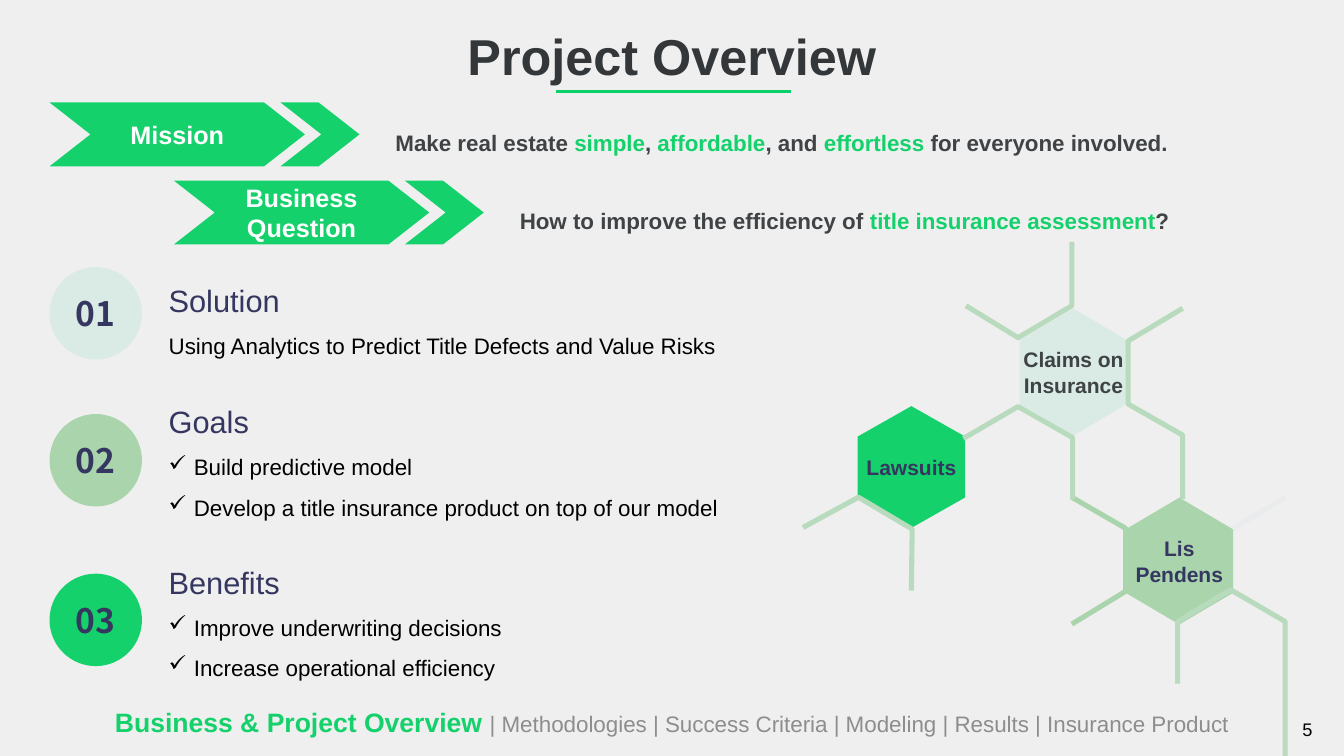
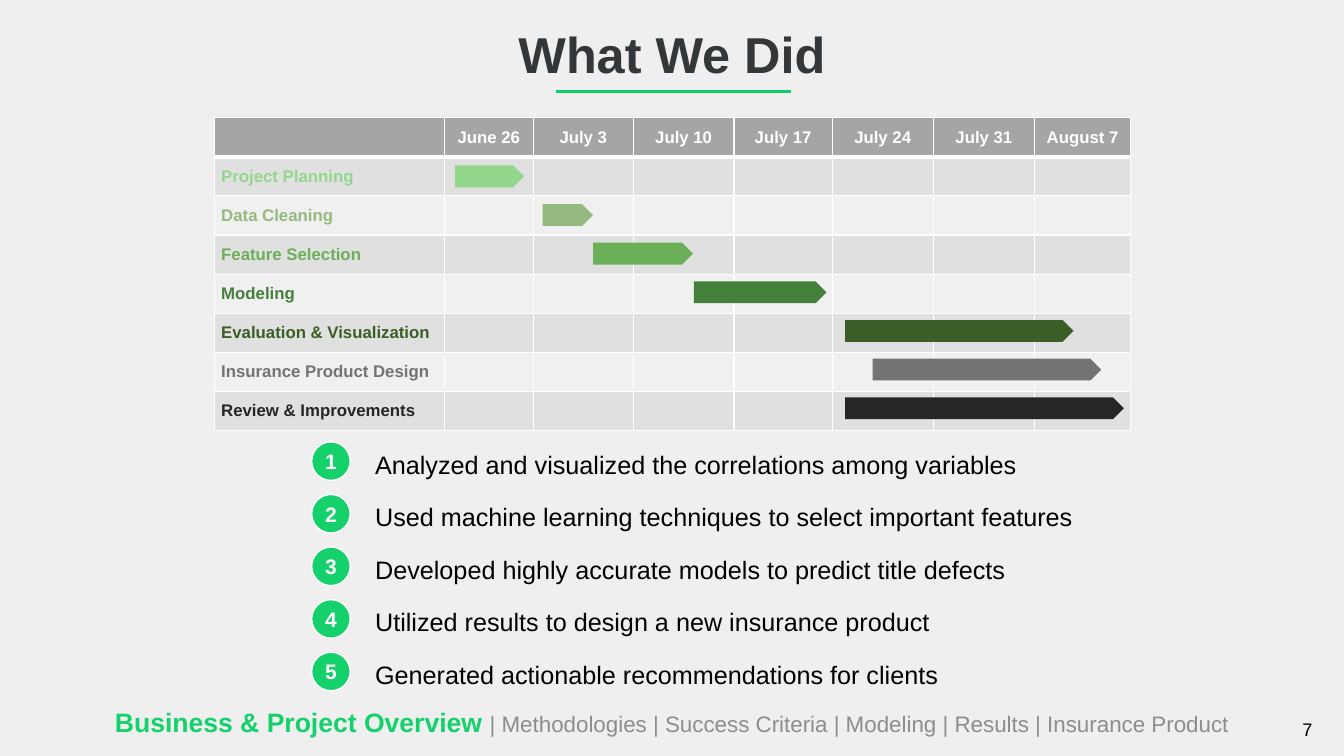
from lxml import etree
from pptx import Presentation
from pptx import util as u
from pptx.dml.color import RGBColor
from pptx.enum import shapes, text
from pptx.oxml import ns

# The slide is a grid of 160 columns by 90 rows of square cells.
CELL = 76200
COLS, ROWS = 160, 90

BACKDROP = RGBColor(0xEF, 0xEF, 0xEF)
WHITE = RGBColor(0xFF, 0xFF, 0xFF)
BLACK = RGBColor(0, 0, 0)
GREEN = RGBColor(0x15, 0xD1, 0x6C)
RULE_GREEN = RGBColor(0x0B, 0xD0, 0x69)
SAGE = RGBColor(0xA9, 0xD4, 0xAC)
MINT = RGBColor(0xD9, 0xEB, 0xE4)
BRANCH = RGBColor(0xB9, 0xDB, 0xBD)
PALE = RGBColor(0xEA, 0xEB, 0xEC)
TITLE_GREY = RGBColor(0x33, 0x37, 0x39)
TEXT_GREY = RGBColor(0x3F, 0x43, 0x45)
FOOTER_GREY = RGBColor(0x8D, 0x8D, 0x8D)
NAVY = RGBColor(0x35, 0x37, 0x60)
HEADER_GREY = RGBColor(0xA5, 0xA5, 0xA5)
STRIPES = RGBColor(0xE0, 0xE0, 0xE0), RGBColor(0xF0, 0xF0, 0xF0)

FONT = "Arial"
NUMBER_FONT = "Noto Sans CJK SC"
CENTER, RIGHT = text.PP_ALIGN.CENTER, text.PP_ALIGN.RIGHT
TOP, MIDDLE = text.MSO_ANCHOR.TOP, text.MSO_ANCHOR.MIDDLE

SECTIONS = [
    # number, fill, disc row, text row, heading, lines, ticked
    ("01", MINT, 31.8, 30.8, "Solution",
     ["Using Analytics to Predict Title Defects and Value Risks"], False),
    ("02", SAGE, 49.3, 45.2, "Goals",
     ["Build predictive model",
      "Develop a title insurance product on top of our model"], True),
    ("03", GREEN, 68.3, 64.3, "Benefits",
     ["Improve underwriting decisions", "Increase operational efficiency"], True),
]
HEXAGONS = [
    # centre column, centre row, height, fill, label, label colour
    (127.8, 44.3, 15.1, MINT, "Claims on Insurance", TEXT_GREY),
    (140.4, 66.8, 15.1, SAGE, "Lis Pendens", NAVY),
    (108.5, 55.6, 14.5, GREEN, "Lawsuits", NAVY),
]
BRANCHES = [
    (BRANCH, [(115, 36.4), (121.2, 40.2), (127.6, 36.4), (127.6, 28.8)]),
    (BRANCH, [(140.8, 36.7), (134.3, 40.6), (134.3, 48.1), (140.8, 51.8), (140.8, 59.4)]),
    (SAGE, [(127.6, 59.2), (134, 62.9), (134, 70.4), (127.6, 74.3)]),
    (BRANCH, [(140.2, 81.4), (140.2, 74), (146.5, 70.2), (153, 74), (153, ROWS)]),
    (BRANCH, [(127.7, 59.4), (127.7, 52.1), (121.2, 48.4), (114.7, 52.2)]),
    (BRANCH, [(108.5, 70.3), (108.6, 63), (102.2, 59.2), (95.6, 62.8)]),
]
WEEKS = ["June 26", "July 3", "July 10", "July 17", "July 24", "July 31", "August 7"]
TABLE_COLS = [27.4, 10.6, 11.9, 12, 11.7, 12, 12.1, 11.4]
TASKS = [
    # name, colour, first column and length of the bar
    ("Project Planning", RGBColor(0x92, 0xD7, 0x8B), 54.2, 8.2),
    ("Data Cleaning", RGBColor(0x95, 0xBA, 0x7F), 64.6, 6),
    ("Feature Selection", RGBColor(0x6B, 0xAF, 0x58), 70.6, 11.9),
    ("Modeling", RGBColor(0x45, 0x7F, 0x3C), 82.6, 15.8),
    ("Evaluation & Visualization", RGBColor(0x3B, 0x5E, 0x26), 100.6, 27.2),
    ("Insurance Product Design", RGBColor(0x73, 0x73, 0x73), 103.9, 27.2),
    ("Review & Improvements", RGBColor(0x26, 0x26, 0x26), 100.6, 33.2),
]
STEPS = [
    "Analyzed and visualized the correlations among variables",
    "Used machine learning techniques to select important features",
    "Developed highly accurate models to predict title defects",
    "Utilized results to design a new insurance product",
    "Generated actionable recommendations for clients",
]


def grid(*cells):
    return [u.Emu(round(c * CELL)) for c in cells]


def add_run(p, words, size, color, bold=False, font=FONT):
    r = p.add_run()
    r.text = words
    r.font.name, r.font.size, r.font.bold = font, u.Pt(size), bold
    r.font.color.rgb = color


def set_frame(tf, anchor=TOP, inset=(0.1, 0.05)):
    tf.word_wrap = True
    tf.auto_size = text.MSO_AUTO_SIZE.NONE
    tf.vertical_anchor = anchor
    tf.margin_left = tf.margin_right = u.Inches(inset[0])
    tf.margin_top = tf.margin_bottom = u.Inches(inset[1])


def add_text(s, at, runs, align=None, spacing=None, inset=(0.1, 0.05)):
    """Add a text box of one paragraph and return its frame."""
    tf = s.shapes.add_textbox(*grid(*at)).text_frame
    set_frame(tf, inset=inset)
    p = tf.paragraphs[0]
    p.alignment, p.line_spacing = align, spacing
    for run in runs:
        add_run(p, *run)
    return tf


def paint(sp, fill=None, line=None, width=1):
    sp.shadow.inherit = False
    if fill is None:
        sp.fill.background()
    else:
        sp.fill.solid()
        sp.fill.fore_color.rgb = fill
    if line is None:
        sp.line.fill.background()
    else:
        sp.line.color.rgb, sp.line.width = line, u.Pt(width)


def label(sp, lines, *style):
    """Centre lines of text inside a shape."""
    tf = sp.text_frame
    set_frame(tf, MIDDLE, (0, 0))
    for i, words in enumerate(lines):
        p = tf.add_paragraph() if i else tf.paragraphs[0]
        p.alignment = CENTER
        add_run(p, words, *style)


def add_shape(s, kind, at, fill, line=None, adj=None):
    sp = s.shapes.add_shape(kind, *grid(*at))
    paint(sp, fill, line)
    if adj is not None:
        sp.adjustments[0] = adj
    return sp


def add_path(s, points, closed=False):
    points = [grid(*pt) for pt in points]
    builder = s.shapes.build_freeform(*points[0])
    builder.add_line_segments(points[1:], close=closed)
    return builder.convert_to_shape()


def add_line(s, start, end, color, width):
    cx = s.shapes.add_connector(shapes.MSO_CONNECTOR.STRAIGHT, *grid(*start, *end))
    cx.line.color.rgb, cx.line.width = color, u.Pt(width)
    etree.SubElement(cx._element.spPr, ns.qn("a:effectLst"))


def add_slide(prs, title, title_row, number):
    """Add a slide with the title, rule, footer and number that all slides share."""
    s = prs.slides.add_slide(prs.slide_layouts[5])
    sp = s.shapes.title
    sp.left, sp.top, sp.width, sp.height = grid(30, title_row, 100, 7.7)
    set_frame(sp.text_frame)
    p = sp.text_frame.paragraphs[0]
    p.alignment = CENTER
    add_run(p, title, 36, TITLE_GREY, True)
    add_line(s, (66.2, 10.9), (94.2, 10.9), RULE_GREEN, 2.25)
    add_text(s, (0, 83.5, COLS, 5), [
        ("Business & Project Overview ", 19, GREEN, True),
        ("| Methodologies | Success Criteria | Modeling | Results | Insurance Product",
         16, FOOTER_GREY)], CENTER)
    add_text(s, (149.9, 85, 7.2, 5), [(number, 13, BLACK)], RIGHT, inset=(0.07, 0.04))
    return s


def add_banner(s, col, row, lines, statement):
    """Add a long and a short chevron, followed by a statement."""
    kind = shapes.MSO_SHAPE.CHEVRON
    sp = add_shape(s, kind, (col, row, 30.4, 7.6), GREEN, adj=0.64)
    label(sp, lines, 18, WHITE, True)
    add_shape(s, kind, (col + 27.5, row, 9.4, 7.6), GREEN, adj=0.64)
    runs = [(words, 16, color, True) for words, color in statement]
    add_text(s, (col + 40, row + 1, 95, 5.4), runs, spacing=1.5)


def add_section(s, number, fill, disc_row, text_row, heading, lines, ticked):
    sp = add_shape(s, shapes.MSO_SHAPE.OVAL, (5.9, disc_row, 11, 11), fill)
    label(sp, [number], 24, NAVY, True, NUMBER_FONT)
    tf = add_text(s, (18.9, text_row, 77, 8 + 5 * len(lines)),
                  [(heading, 22, NAVY)], spacing=1.5)
    for words in lines:
        p = tf.add_paragraph()
        if ticked:
            pPr = p._p.get_or_add_pPr()
            pPr.set("marL", str(u.Inches(0.25)))
            pPr.set("indent", str(u.Inches(-0.25)))
            etree.SubElement(pPr, ns.qn("a:buChar"), char="✓")
        p.line_spacing = 1.5
        add_run(p, words, 16, BLACK)


def add_hexagon(s, cx, cy, height, fill, words, color):
    half, rise = 6.4, height / 4
    sp = add_path(s, [(cx, cy - 2 * rise), (cx + half, cy - rise), (cx + half, cy + rise),
                      (cx, cy + 2 * rise), (cx - half, cy + rise),
                      (cx - half, cy - rise)], closed=True)
    paint(sp, fill)
    label(sp, [words], 15, color, True)


def style_cell(cell, fill, top=1, bottom=1):
    tcPr = cell._tc.get_or_add_tcPr()
    for side, width in (("L", 1), ("R", 1), ("T", top), ("B", bottom)):
        ln = etree.SubElement(tcPr, ns.qn(f"a:ln{side}"), w=str(u.Pt(width)))
        solid = etree.SubElement(ln, ns.qn("a:solidFill"))
        etree.SubElement(solid, ns.qn("a:srgbClr"), val=str(WHITE))
    cell.fill.solid()
    cell.fill.fore_color.rgb = fill
    cell.vertical_anchor = MIDDLE
    cell.margin_left = cell.margin_right = u.Inches(0.07)
    cell.margin_top = cell.margin_bottom = u.Inches(0.04)


def add_schedule(s):
    row_height = 4.66
    n_rows = len(TASKS) + 1
    table = s.shapes.add_table(n_rows, len(TABLE_COLS), *grid(
        25.5, 14, sum(TABLE_COLS), row_height * n_rows)).table
    for column, width in zip(table.columns, grid(*TABLE_COLS)):
        column.width = width
    for i, row in enumerate(table.rows):
        row.height = grid(row_height)[0]
        fill = STRIPES[(i - 1) % 2] if i else HEADER_GREY
        for cell in row.cells:
            style_cell(cell, fill, 3 if i == 1 else 1, 1 if i else 3)
    for j, week in enumerate(WEEKS, 1):
        p = table.cell(0, j).text_frame.paragraphs[0]
        p.alignment = CENTER
        add_run(p, week, 12, WHITE, True)
    for i, (task, color, start, length) in enumerate(TASKS):
        add_run(table.cell(i + 1, 0).text_frame.paragraphs[0], task, 12, color, True)
        add_shape(s, shapes.MSO_SHAPE.PENTAGON, (start, 19.7 + 4.6 * i, length, 2.6),
                  color, adj=0.5)


def add_step(s, i, words):
    row = 52.6 + 6.26 * i
    sp = add_shape(s, shapes.MSO_SHAPE.OVAL, (37.1, row, 4.6, 4.6), GREEN, WHITE)
    label(sp, [str(i + 1)], 15, WHITE, True)
    add_text(s, (43.1, row, 96, 5.5), [(words, 18, BLACK)], inset=(0.13, 0.07))


def build_overview(prs):
    s = add_slide(prs, "Project Overview", 2.4, "5")
    add_banner(s, 5.9, 12.2, ["Mission"], [
        ("Make real estate ", TEXT_GREY), ("simple", GREEN), (",", TEXT_GREY),
        (" affordable", GREEN), (", and ", TEXT_GREY), ("effortless ", GREEN),
        ("for everyone involved.", TEXT_GREY)])
    add_banner(s, 20.7, 21.5, ["Business", "Question"], [
        ("How to improve the efficiency of ", TEXT_GREY),
        ("title insurance assessment", GREEN), ("?", TEXT_GREY)])
    for section in SECTIONS:
        add_section(s, *section)
    for hexagon in HEXAGONS:
        add_hexagon(s, *hexagon)
    for color, points in BRANCHES:
        paint(add_path(s, points), line=color, width=3.62)
    add_line(s, (146.8, 62.9), (153, 59.2), PALE, 3.62)


def build_work_done(prs):
    s = add_slide(prs, "What We Did", 2.2, "7")
    add_schedule(s)
    for i, words in enumerate(STEPS):
        add_step(s, i, words)


def main():
    prs = Presentation()
    prs.slide_width, prs.slide_height = grid(COLS, ROWS)
    fill = prs.slide_master.background.fill
    fill.solid()
    fill.fore_color.rgb = BACKDROP
    build_overview(prs)
    build_work_done(prs)
    prs.save("out.pptx")


if __name__ == "__main__":
    main()
